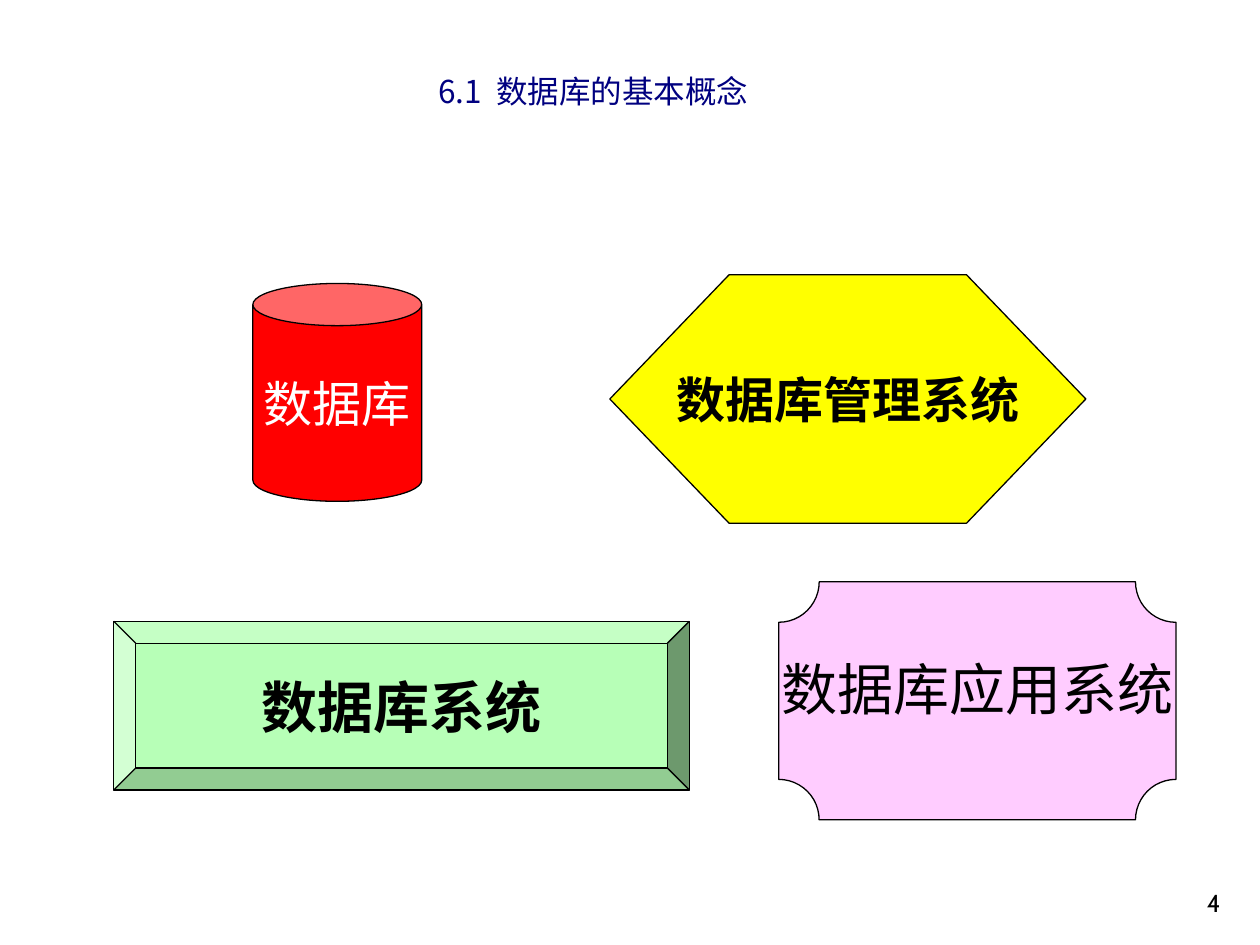
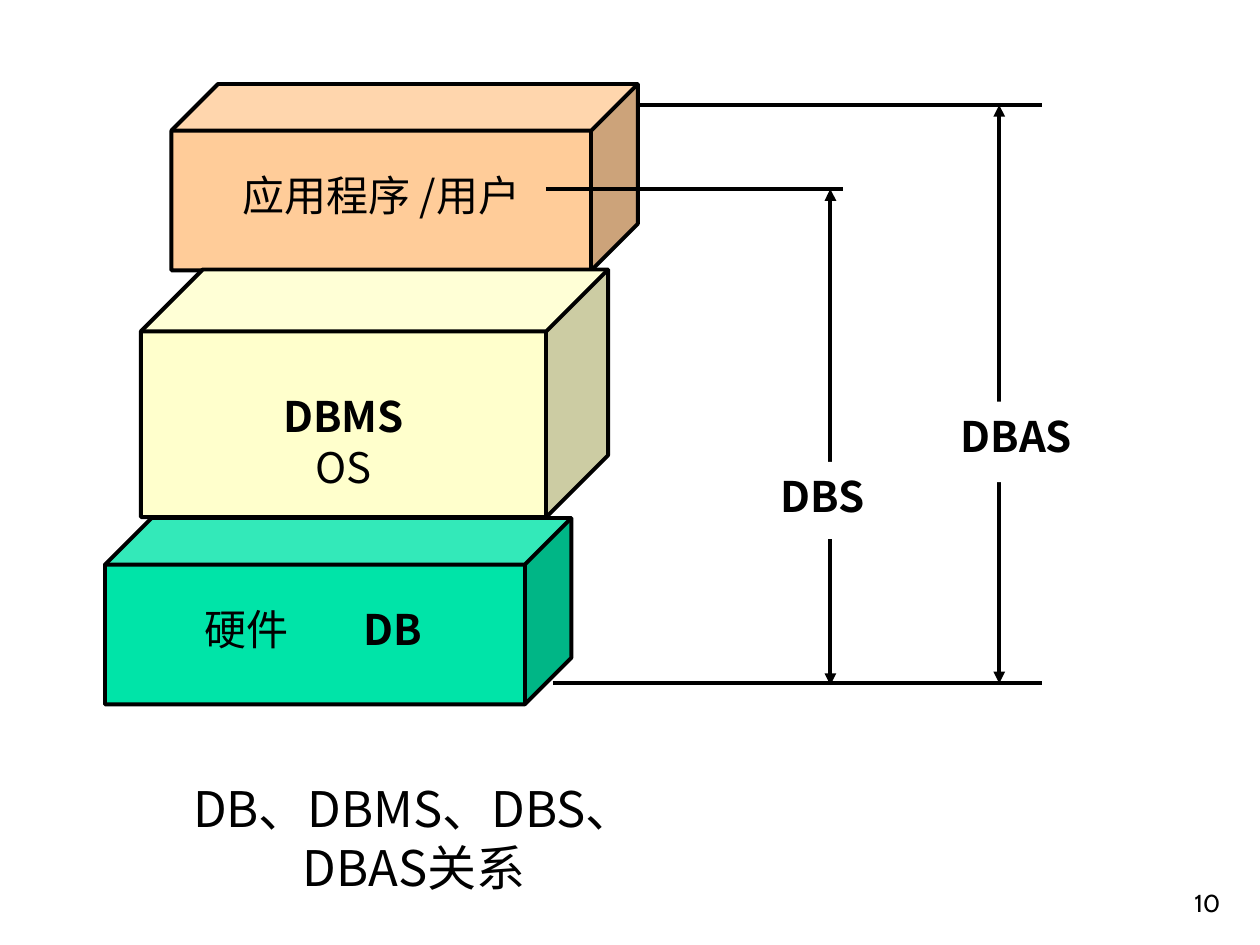
from dataclasses import dataclass

from lxml.etree import SubElement
from pptx import Presentation
from pptx.dml.color import RGBColor
from pptx.enum.shapes import MSO_CONNECTOR, MSO_SHAPE
from pptx.enum.text import MSO_ANCHOR, PP_ALIGN
from pptx.oxml.ns import qn
from pptx.util import Pt


@dataclass(frozen=True)
class Theme:
    black: str = "000000"
    white: str = "FFFFFF"
    navy: str = "000080"
    red: str = "FF0000"
    yellow: str = "FFFF00"
    mint: str = "B7FFB7"
    pink: str = "FFCCFF"
    peach: str = "FFCC99"
    cream: str = "FFFFCC"
    green: str = "00E4A8"
    serif: str = "Times New Roman"
    sans: str = "Noto Sans CJK SC"
    digits: str = "Cabin"
    small: int = 14
    title: int = 18
    label: int = 24
    large: int = 28
    huge: int = 32
    thin: float = 0.75
    thick: float = 2.25
    lead: float = 1.2


class Deck:
    def __init__(self, theme):
        self.theme = theme
        self.prs = Presentation()
        self.prs.slide_width, self.prs.slide_height = Pt(720), Pt(540)

    def page(self, number):
        self.slide = self.prs.slides.add_slide(self.prs.slide_layouts[6])
        t = self.theme
        self.text((554.5, 492, 150, 36), [[(str(number), False)]], t.small,
                  font=t.digits, align=PP_ALIGN.RIGHT, anchor=MSO_ANCHOR.BOTTOM)

    def label(self, shape, lines, size, color=None, font=None, align=PP_ALIGN.CENTER,
              anchor=MSO_ANCHOR.TOP, wrap=True, top=3.6, bottom=3.6, lead=None, tabs=()):
        """Fill a shape with lines, each a list of (text, bold) runs."""
        frame = shape.text_frame
        frame.word_wrap, frame.vertical_anchor = wrap, anchor
        frame.margin_left = frame.margin_right = Pt(7.2)
        frame.margin_top, frame.margin_bottom = Pt(top), Pt(bottom)
        for i, line in enumerate(lines):
            para = frame.paragraphs[0] if i == 0 else frame.add_paragraph()
            para.alignment = align
            if lead:
                para.line_spacing = Pt(size * lead)
            if tabs:
                stops = SubElement(para._p.get_or_add_pPr(), qn("a:tabLst"))
                for pos in tabs:
                    SubElement(stops, qn("a:tab"), pos=str(Pt(pos)), algn="l")
            for text, bold in line:
                run = para.add_run()
                run.text = text
                run.font.size, run.font.bold = Pt(size), bold
                run.font.color.rgb = RGBColor.from_string(color or self.theme.black)
                run.font.name = font or self.theme.sans
                SubElement(run._r.get_or_add_rPr(), qn("a:ea"), typeface=self.theme.sans)

    def text(self, box, lines, size, **style):
        self.label(self.slide.shapes.add_textbox(*map(Pt, box)), lines, size, **style)

    def shape(self, kind, box, fill, lines, size, edge=None, adj=None, **style):
        shape = self.slide.shapes.add_shape(kind, *map(Pt, box))
        shape.shadow.inherit = False
        if adj is not None:
            shape.adjustments[0] = adj
        shape.fill.solid()
        shape.fill.fore_color.rgb = RGBColor.from_string(fill)
        if edge:
            shape.line.color.rgb = RGBColor.from_string(self.theme.black)
            shape.line.width = Pt(edge)
        else:
            shape.line.fill.background()
        self.label(shape, lines, size, **style)

    def line(self, start, end, arrow=False):
        link = self.slide.shapes.add_connector(
            MSO_CONNECTOR.STRAIGHT, *map(Pt, (*start, *end)))
        link.line.color.rgb = RGBColor.from_string(self.theme.black)
        link.line.width = Pt(self.theme.thick)
        props = link._element.spPr
        if arrow:
            SubElement(props.find(qn("a:ln")), qn("a:tailEnd"), type="triangle")
        SubElement(props, qn("a:effectLst"))


def concepts(deck):
    t = deck.theme
    deck.page(4)
    deck.text((150, 36, 378, 48), [[("6.1  数据库的基本概念", False)]], t.title,
              color=t.navy, wrap=False, lead=t.lead, top=5)
    for kind, box, adj, fill, name, size, bold, color, bottom in (
        (MSO_SHAPE.CAN, (144.5, 162, 96.5, 124.5), 0.25, t.red,
         "数据库", t.large, False, t.white, 3.6),
        (MSO_SHAPE.HEXAGON, (348.5, 157, 272, 142), 0.48, t.yellow,
         "数据库管理系统", t.large, True, t.black, 3.6),
        (MSO_SHAPE.BEVEL, (65, 355, 329, 96.5), 0.13, t.mint,
         "数据库系统", t.huge, True, t.black, 3.6),
        (MSO_SHAPE.PLAQUE, (445, 332.5, 227, 136), 0.17, t.pink,
         "数据库应用系统", t.huge, False, t.black, 18.5),
    ):
        deck.shape(kind, box, fill, [[(name, bold)]], size, edge=t.thin, adj=adj,
                   color=color, font=t.serif, anchor=MSO_ANCHOR.MIDDLE,
                   wrap=False, bottom=bottom)


def layers(deck):
    t = deck.theme
    deck.page(10)
    for box, fill, lines, top, tabs in (
        ((98, 48, 266.5, 106.5), t.peach, [[("应用程序 /用户", False)]], 22.5, ()),
        ((80.5, 154, 267, 141.5), t.cream, [[("DBMS", True)], [("OS", False)]], 34, ()),
        ((60, 296, 266.5, 106.5), t.green,
         [[("\t硬件", False), ("\tDB", True)]], 22.5, (50, 140.5)),
    ):
        deck.shape(MSO_SHAPE.CUBE, box, fill, lines, t.label, edge=t.thick, adj=0.25,
                   top=top, lead=t.lead, tabs=tabs,
                   align=PP_ALIGN.LEFT if tabs else PP_ALIGN.CENTER)

    user, roof, floor, right = 108, 60, 390.5, 595.5
    deck.line((312, user), (481.5, user))
    deck.line((365, roof), (right, roof))
    deck.line((316, floor), (right, floor))
    for name, x, high, low, box in (
        ("DBS", 474.5, user, floor + 1, (433.5, 264, 73.5, 44)),
        ("DBAS", 571, roof, floor, (535.5, 229.5, 90.5, 46)),
    ):
        mid = box[1] + box[3] / 2
        deck.line((x, mid - 20), (x, high), arrow=True)
        deck.line((x, mid + 20), (x, low), arrow=True)
        deck.shape(MSO_SHAPE.RECTANGLE, box, t.white, [[(name, True)]], t.label,
                   top=5, lead=t.lead)
    deck.text((48, 438, 377, 55.5), [[("DB、DBMS、DBS、", False)], [("DBAS关系", False)]],
              t.large, top=7, lead=t.lead)


def main():
    deck = Deck(Theme())
    concepts(deck)
    layers(deck)
    deck.prs.save("out.pptx")


if __name__ == "__main__":
    main()
